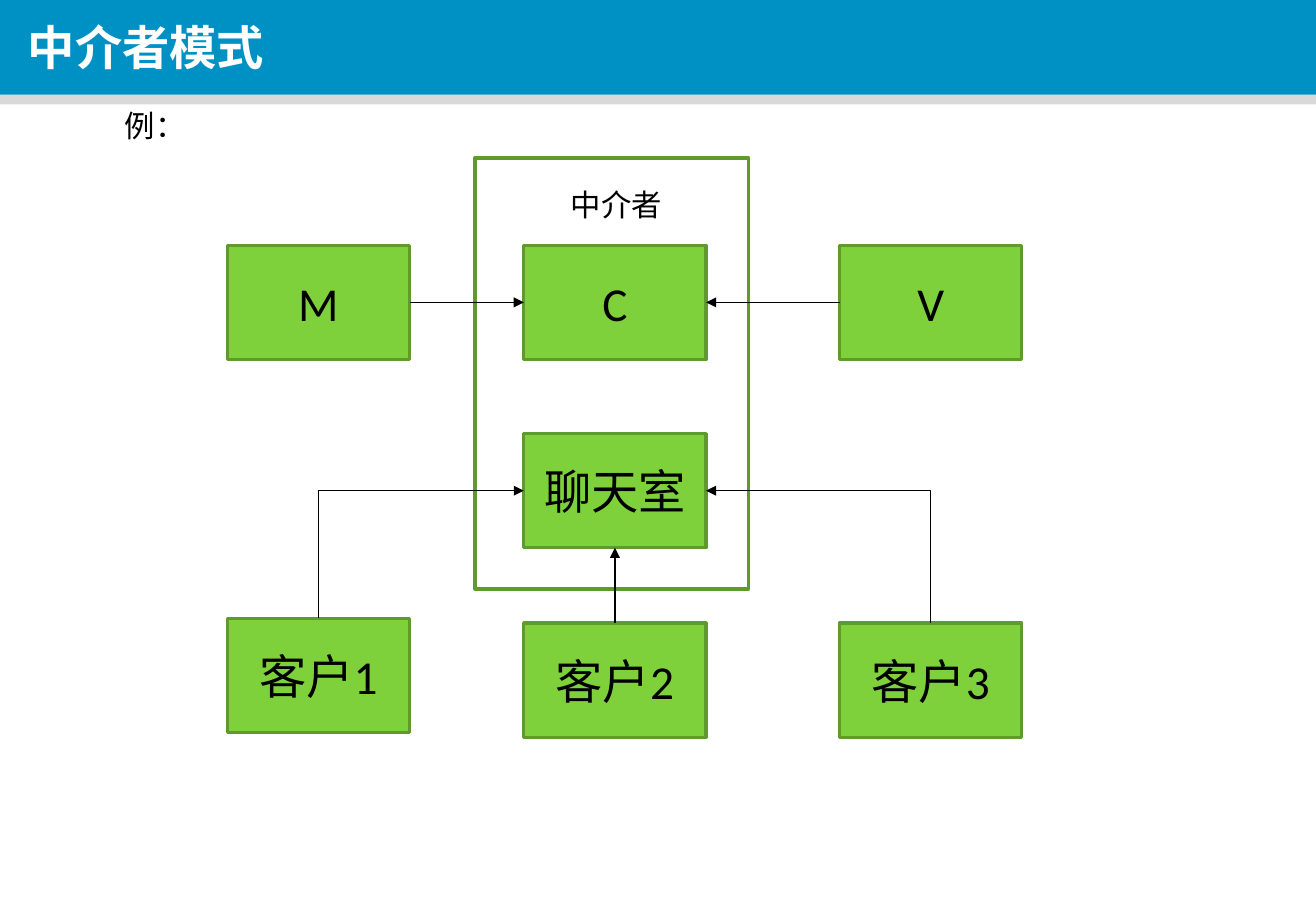
from dataclasses import dataclass

from lxml import etree
from pptx import Presentation
from pptx import util as u
from pptx.dml.color import RGBColor
from pptx.enum import shapes, text
from pptx.oxml import ns

COLORS = {
    "band": "0091C4",
    "rule": "D9D9D9",
    "white": "FFFFFF",
    "box": "7FD13B",
    "edge": "5E9B2C",
    "ink": "000000",
}
SLIDE_WIDTH, SLIDE_HEIGHT = u.Inches(10.83), u.Inches(7.5)
COLUMN, ROW = SLIDE_WIDTH / 100, SLIDE_HEIGHT / 100
BOX_COLUMNS, BOX_ROWS = 13.85, 12.53
LEFT, MIDDLE, RIGHT = 17.27, 39.8, 63.8
TOP, BOTTOM, LEFT_SIDE, RIGHT_SIDE = range(4)


@dataclass(frozen=True)
class Area:
    column: float
    row: float
    columns: float = BOX_COLUMNS
    rows: float = BOX_ROWS

    def emu(self) -> tuple[int, int, int, int]:
        return (round(self.column * COLUMN), round(self.row * ROW),
                round(self.columns * COLUMN), round(self.rows * ROW))


@dataclass(frozen=True)
class Panel:
    area: Area
    fill: str
    edge: str = ""
    label: str = ""


@dataclass(frozen=True)
class Caption:
    area: Area
    label: str


@dataclass(frozen=True)
class Link:
    source: str
    source_side: int
    target: str
    target_side: int
    bent: bool = False


BOTTOM, LEFT_SIDE = 2, 1

PANELS = [
    Panel(Area(0, 10.4, 100, 1.07), "rule"),
    Panel(Area(0, 0, 100, 10.4), "band"),
    Panel(Area(36.1, 17.33, 20.78, 47.33), "white", "edge"),
]
BOXES = [
    Panel(Area(column, row), "box", "edge", label)
    for column, row, label in [
        (LEFT, 26.93, "M"),
        (MIDDLE, 26.93, "C"),
        (RIGHT, 26.93, "V"),
        (MIDDLE, 47.6, "聊天室"),
        (LEFT, 67.87, "客户1"),
        (MIDDLE, 68.4, "客户2"),
        (RIGHT, 68.4, "客户3"),
    ]
]
CAPTIONS = [
    Caption(Area(8.59, 11.07, 79.96, 5.33), "例："),
    Caption(Area(42.47, 19.73, 13.85, 5.33), "中介者"),
]
LINKS = [
    Link("M", RIGHT_SIDE, "C", LEFT_SIDE),
    Link("V", LEFT_SIDE, "C", RIGHT_SIDE),
    Link("客户1", TOP, "聊天室", LEFT_SIDE, bent=True),
    Link("客户3", TOP, "聊天室", RIGHT_SIDE, bent=True),
    Link("客户2", TOP, "聊天室", BOTTOM),
]


def color(name: str) -> RGBColor:
    return RGBColor.from_string(COLORS[name])


def write(para, label: str, size: float, ink: str = "ink",
          face: str = "Calibri", bold: bool = False) -> None:
    span = para.add_run()
    span.text = label
    span.font.size = u.Pt(size)
    span.font.name = face
    span.font.bold = bold
    span.font.color.rgb = color(ink)
    properties = span.font._element
    etree.SubElement(properties, ns.qn("a:ea")).set("typeface", face)


def draw_panel(page, panel: Panel):
    box = page.shapes.add_shape(shapes.MSO_SHAPE.RECTANGLE, *panel.area.emu())
    box.shadow.inherit = False
    box.fill.solid()
    box.fill.fore_color.rgb = color(panel.fill)
    if panel.edge:
        box.line.color.rgb = color(panel.edge)
        box.line.width = u.Pt(2)
    else:
        box.line.fill.background()
    if panel.label:
        box.text_frame.vertical_anchor = text.MSO_ANCHOR.MIDDLE
        para = box.text_frame.paragraphs[0]
        para.alignment = text.PP_ALIGN.CENTER
        write(para, panel.label, 28)
    return box


def draw_title(page, label: str) -> None:
    title = page.shapes.title
    title.element.getparent().append(title.element)
    title.left, title.top, title.width, title.height = Area(1.2, 1.73, 96.4, 7.6).emu()
    title.text_frame.auto_size = text.MSO_AUTO_SIZE.NONE
    title.text_frame.vertical_anchor = text.MSO_ANCHOR.MIDDLE
    para = title.text_frame.paragraphs[0]
    para.alignment = text.PP_ALIGN.LEFT
    para.line_spacing = 0.9
    write(para, label, 28, "white", "Noto Sans CJK SC", True)


def draw_caption(page, caption: Caption) -> None:
    box = page.shapes.add_textbox(*caption.area.emu())
    box.text_frame.word_wrap = True
    write(box.text_frame.paragraphs[0], caption.label, 18)


def bend(line) -> None:
    leftward = line.end_x < line.begin_x
    left, top, width, height = line.left, line.top, line.width, line.height
    line.left = left + (width - height) // 2
    line.top = top + (height - width) // 2
    line.width, line.height = height, width
    properties = line.element.spPr
    frame = properties.find(ns.qn("a:xfrm"))
    frame.set("rot", str(270 * 60000))
    frame.set("flipH", "0")
    frame.set("flipV", str(int(leftward)))
    properties.find(ns.qn("a:prstGeom")).set("prst", "bentConnector2")


def draw_link(page, link: Link, boxes: dict) -> None:
    kind = shapes.MSO_CONNECTOR.ELBOW if link.bent else shapes.MSO_CONNECTOR.STRAIGHT
    line = page.shapes.add_connector(kind, 0, 0, 0, 0)
    line.begin_connect(boxes[link.source], link.source_side)
    line.end_connect(boxes[link.target], link.target_side)
    if link.bent:
        bend(line)
    line.line.color.rgb = color("ink")
    line.line.width = u.Pt(0.75)
    properties = line.element.spPr
    outline = properties.find(ns.qn("a:ln"))
    etree.SubElement(outline, ns.qn("a:tailEnd")).set("type", "triangle")
    etree.SubElement(properties, ns.qn("a:effectLst"))


def main() -> None:
    deck = Presentation()
    deck.slide_width, deck.slide_height = SLIDE_WIDTH, SLIDE_HEIGHT
    page = deck.slides.add_slide(deck.slide_layouts[5])
    for panel in PANELS:
        draw_panel(page, panel)
    draw_title(page, "中介者模式")
    boxes = {panel.label: draw_panel(page, panel) for panel in BOXES}
    for link in LINKS:
        draw_link(page, link, boxes)
    for caption in CAPTIONS:
        draw_caption(page, caption)
    deck.save("out.pptx")


if __name__ == "__main__":
    main()
